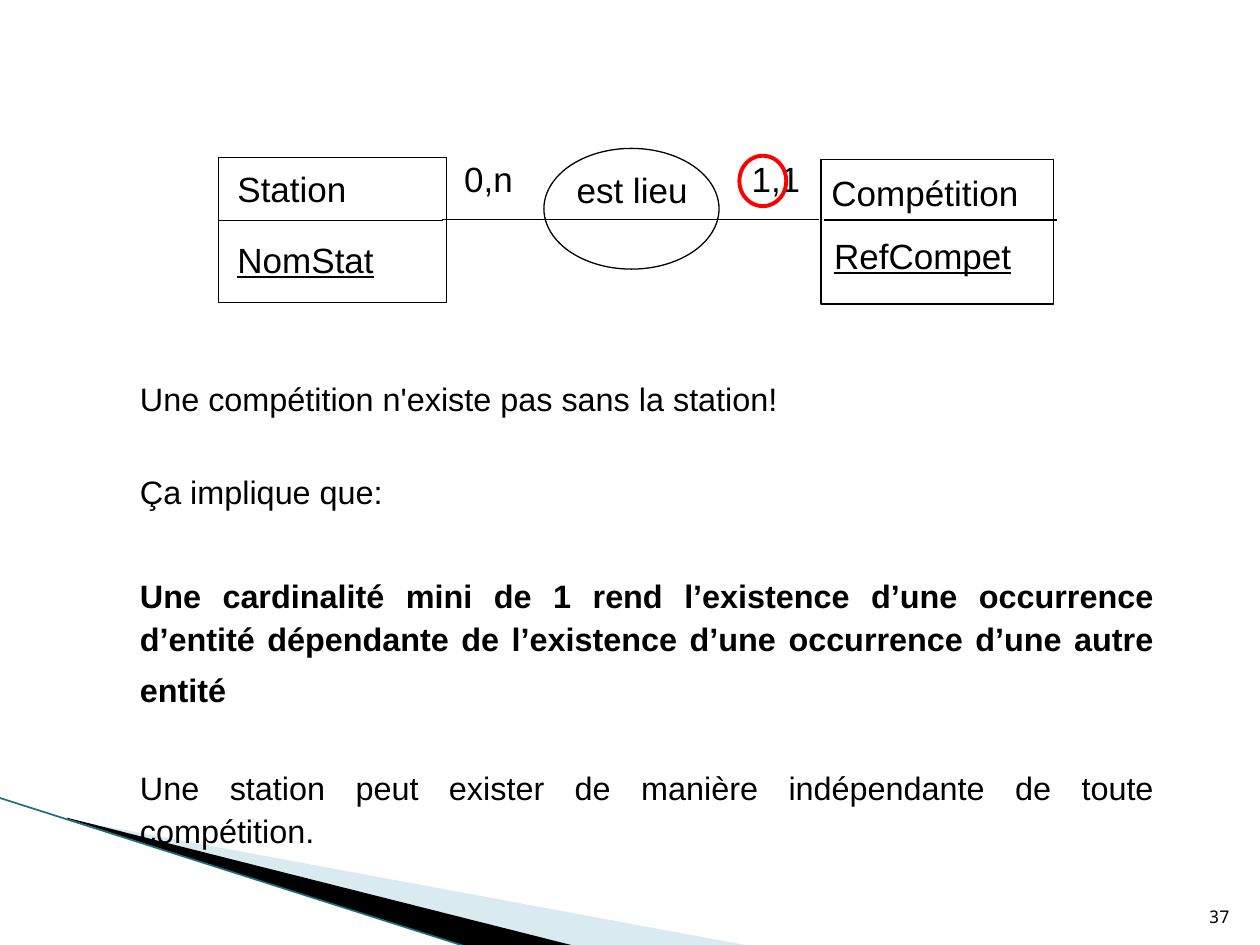
from pptx import Presentation
from pptx.dml.color import RGBColor
from pptx.enum.shapes import MSO_CONNECTOR as Connector, MSO_SHAPE as Shape
from pptx.enum.text import MSO_ANCHOR as Anchor, MSO_AUTO_SIZE as AutoSize, PP_ALIGN as Align
from pptx.oxml.ns import qn
from pptx.util import Pt
from lxml.etree import SubElement

BLACK, WHITE, RED = "000000", "FFFFFF", "FF0000"
PALE, TEAL = "A0CBDC", "1B6F83"


def color(code):
    return RGBColor.from_string(code)


class Sketch:
    """Holds the text style and the slide being drawn; lengths are in points."""

    def __init__(self, slide, font="Arial", size=20):
        self.slide, self.font, self.size = slide, font, size

    def paint(self, shape, fill, line, weight):
        shape.shadow.inherit = False
        if fill:
            shape.fill.solid()
            shape.fill.fore_color.rgb = color(fill)
        else:
            shape.fill.background()
        if line:
            shape.line.color.rgb = color(line)
            shape.line.width = Pt(weight)
        else:
            shape.line.fill.background()

    def shape(self, kind, left, top, width, height, fill=WHITE, line=BLACK, weight=0.75):
        shape = self.slide.shapes.add_shape(kind, Pt(left), Pt(top), Pt(width), Pt(height))
        self.paint(shape, fill, line, weight)

    def polygon(self, points, fill, opacity=100):
        start, *others = [(Pt(x), Pt(y)) for x, y in points]
        builder = self.slide.shapes.build_freeform(*start)
        builder.add_line_segments(others, close=True)
        shape = builder.convert_to_shape()
        self.paint(shape, fill, None, 0)
        if opacity < 100:
            tint = shape.fill._xPr.find(qn("a:solidFill"))[0]
            SubElement(tint, qn("a:alpha")).set("val", str(opacity * 1000))

    def line(self, x1, y1, x2, y2, code=BLACK, weight=0.75):
        line = self.slide.shapes.add_connector(Connector.STRAIGHT, Pt(x1), Pt(y1), Pt(x2), Pt(y2))
        line.line.color.rgb = color(code)
        line.line.width = Pt(weight)
        SubElement(line._element.spPr, qn("a:effectLst"))

    def span(self, para, text, size=None, font=None, bold=False, underline=False):
        span = para.add_run()
        span.text = text
        span.font.name = font or self.font
        span.font.size = Pt(size or self.size)
        span.font.color.rgb = color(BLACK)
        span.font.bold = bold
        span.font.underline = underline

    def box(self, left, top, width, height, wrap=True):
        box = self.slide.shapes.add_textbox(Pt(left), Pt(top), Pt(width), Pt(height))
        box.text_frame.word_wrap = wrap
        return box.text_frame

    def label(self, text, left, top, width, underline=False):
        frame = self.box(left, top, width, 31, wrap=False)
        frame.auto_size = AutoSize.SHAPE_TO_FIT_TEXT
        self.span(frame.paragraphs[0], text, underline=underline)

    def body(self, left, top, width, height, paragraphs):
        """Each paragraph is (space before, line spacing, runs); a run is (text, size, bold)."""
        frame = self.box(left, top, width, height)
        frame.margin_left = frame.margin_right = frame.margin_top = frame.margin_bottom = 0
        for index, (before, spacing, runs) in enumerate(paragraphs):
            para = frame.add_paragraph() if index else frame.paragraphs[0]
            para.alignment = Align.JUSTIFY
            para.space_before, para.line_spacing = Pt(before), spacing
            for text, size, bold in runs:
                self.span(para, text, size, bold=bold)

    def page_number(self, text, left, top, side):
        frame = self.box(left, top, side, side)
        frame.vertical_anchor = Anchor.BOTTOM
        frame.paragraphs[0].alignment = Align.RIGHT
        self.span(frame.paragraphs[0], text, 10, "Noto Sans Mono")


def main():
    deck = Presentation()
    deck.slide_width, deck.slide_height = Pt(720), Pt(540)
    sketch = Sketch(deck.slides.add_slide(deck.slide_layouts[6]))

    # Corner decoration
    sketch.polygon([(39.6, 468.4), (428.4, 540.5), (328.3, 540.5), (39.6, 468)], PALE, 40)
    sketch.polygon([(38.2, 467.3), (329, 540.7), (267.8, 541.4), (38.9, 468)], BLACK)
    sketch.line(-0.7, 455.8, 267.8, 541.4, TEAL, 0.95)

    size = 18.5
    sketch.body(80, 216.4, 579, 270, [
        (0, 1.0, [("Une compétition n'existe pas sans la station!", size, False)]),
        (31, 1.0, [("Ça implique que:", size, False)]),
        (34.4, 1.12, [("Une cardinalité mini de 1 rend l’existence d’une occurrence "
                       "d’entité dépendante de l’existence d’une occurrence "
                       "d’une autre entité", size, True), (" ", 22.2, False)]),
        (30.2, 1.12, [("Une station peut exister de manière indépendante "
                       "de toute compétition.", size, False)]),
    ])

    # Entities
    sketch.shape(Shape.RECTANGLE, 125, 90, 130.3, 82.8)
    sketch.shape(Shape.RECTANGLE, 469.2, 91, 133, 82.8)
    sketch.line(125, 126, 253.4, 126)
    sketch.line(470.9, 125.8, 604, 125.8)
    sketch.label("Station", 128.6, 92, 80)
    sketch.label("Compétition", 468, 94.6, 126)
    sketch.label("NomStat", 128.6, 132.6, 97, underline=True)
    sketch.label("RefCompet", 469.5, 130.5, 120, underline=True)

    # Association
    sketch.shape(Shape.OVAL, 310.8, 84.8, 100.1, 69)
    sketch.line(252.7, 125.3, 468, 125.3)
    sketch.label("est lieu", 322.4, 93, 81)
    for cardinality, left in (("0,n", 258.2), ("1,1", 422.4)):
        sketch.label(cardinality, left, 86.6, 45)
    sketch.shape(Shape.OVAL, 422.5, 89, 26.8, 28.8, None, RED, 2.25)

    sketch.page_number("37", 681, 504.7, 28.8)
    deck.save("out.pptx")


if __name__ == "__main__":
    main()
